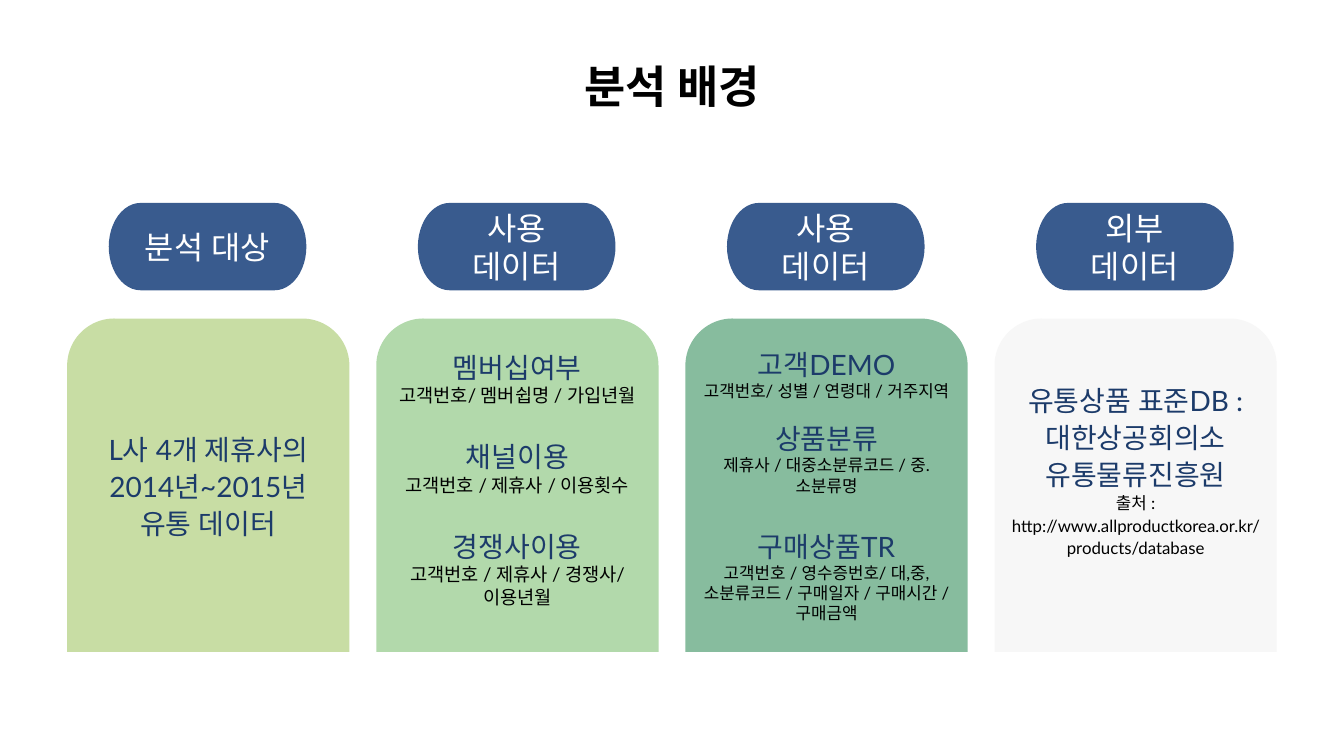
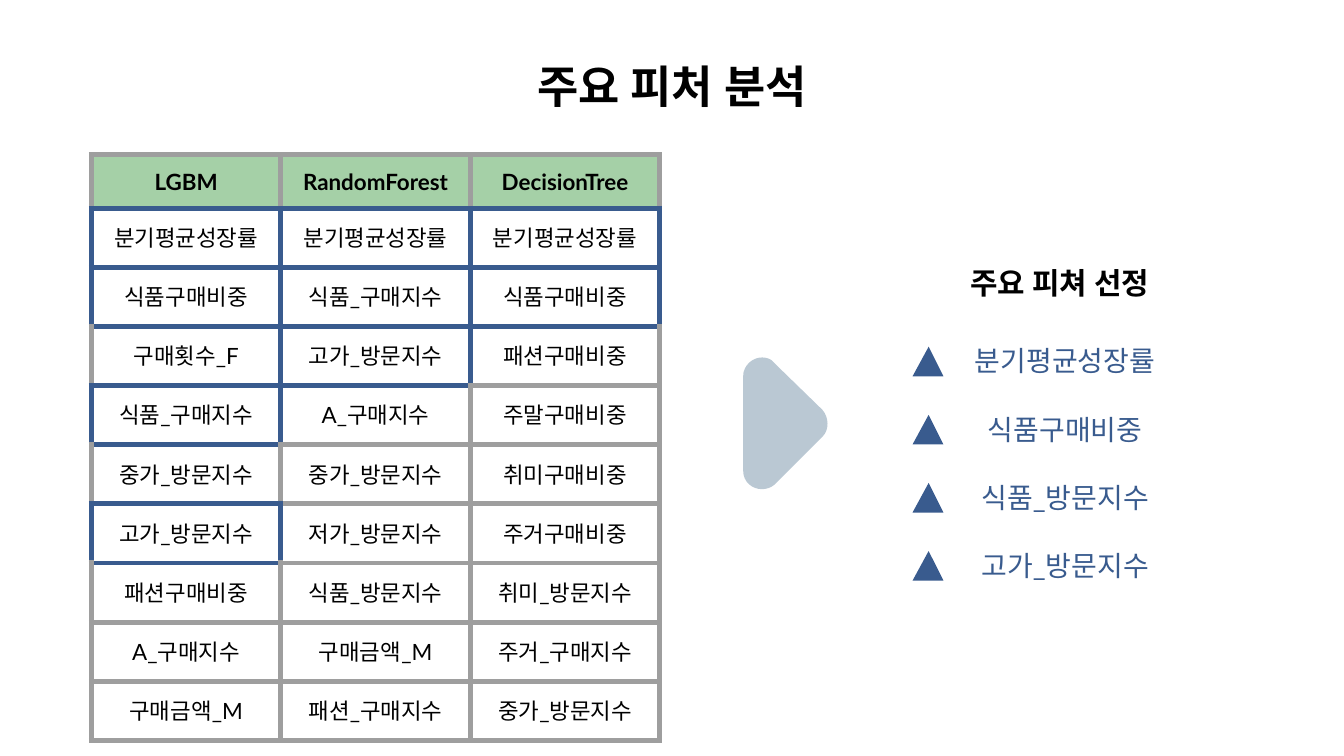
from lxml import etree
from pptx import Presentation
from pptx import util as u
from pptx.dml.color import RGBColor
from pptx.enum import shapes, text
from pptx.oxml.ns import qn

Inches, Pt = u.Inches, u.Pt
FONT = "Lato"
COLORS = {
    "black": "000000", "white": "FFFFFF", "blue": "395B8E", "navy": "1C3B6A",
    "lime": "C8DDA4", "mint": "B2D9AB", "teal": "87BC9E", "pale": "F7F7F7",
    "header": "A5D0A7", "grid": "9E9E9E", "arrow": "BAC8D3",
}

# Slide 1 content: text lines are (text, size, color, space before)
BACKGROUND_TITLE = "분석 배경"
CARDS = [
    {"label": "분석 대상", "color": "lime", "top": 3.37, "height": 0.47,
     "bottom": 0.1, "spacing": 1.1,
     "lines": [("L사 4개 제휴사의 2014년~2015년 유통 데이터", 15, "navy", 0)]},
    {"label": "사용 데이터", "color": "mint", "top": 2.45, "height": 2.48,
     "bottom": 0.35, "spacing": None,
     "lines": [("멤버십여부", 15, "navy", 0),
               ("고객번호/ 멤버쉽명 / 가입년월", 10, "black", 0),
               ("채널이용", 15, "navy", 18),
               ("고객번호 / 제휴사 / 이용횟수", 10, "black", 0),
               ("경쟁사이용", 15, "navy", 18),
               ("고객번호 / 제휴사 / 경쟁사/ 이용년월", 10, "black", 0)]},
    {"label": "사용 데이터", "color": "teal", "top": 2.37, "height": 2.48,
     "bottom": 0.1, "spacing": None,
     "lines": [("고객DEMO", 15, "navy", 0),
               ("고객번호/ 성별 / 연령대 / 거주지역", 9, "black", 0),
               ("상품분류", 15, "navy", 11),
               ("제휴사 / 대중소분류코드 / 중.소분류명", 9, "black", 0),
               ("구매상품TR", 15, "navy", 18),
               ("고객번호 / 영수증번호/ 대,중,소분류코드 / 구매일자 / 구매시간 / 구매금액",
                9, "black", 0)]},
    {"label": "외부 데이터", "color": "pale", "top": 2.45, "height": 2.48,
     "bottom": 0.5, "spacing": 1.1,
     "lines": [("유통상품 표준DB : 대한상공회의소 유통물류진흥원", 15, "navy", 0),
               ("출처 : http://www.allproductkorea.or.kr/products/database",
                9, "black", 0)]},
]

# Slide 2 content
FEATURE_TITLE = "주요 피처 분석"
FEATURE_ROWS = [
    ("LGBM", "RandomForest", "DecisionTree"),
    ("분기평균성장률", "분기평균성장률", "분기평균성장률"),
    ("식품구매비중", "식품_구매지수", "식품구매비중"),
    ("구매횟수_F", "고가_방문지수", "패션구매비중"),
    ("식품_구매지수", "A_구매지수", "주말구매비중"),
    ("중가_방문지수", "중가_방문지수", "취미구매비중"),
    ("고가_방문지수", "저가_방문지수", "주거구매비중"),
    ("패션구매비중", "식품_방문지수", "취미_방문지수"),
    ("A_구매지수", "구매금액_M", "주거_구매지수"),
    ("구매금액_M", "패션_구매지수", "중가_방문지수"),
]
HEADER_HEIGHT, ROW_HEIGHT = 0.4, 0.44
HIGHLIGHTED = {(1, 0), (1, 1), (1, 2), (2, 0), (2, 1), (2, 2), (3, 1), (4, 0), (6, 0)}
SELECTED_TITLE = "주요 피쳐 선정"
SELECTED = ["분기평균성장률", "식품구매비중", "식품_방문지수", "고가_방문지수"]

# Arrow outline: one point is a line, three points are a curve
ARROW_START = (5.67, 2.66)
ARROW_STEPS = [
    [(5.6, 2.66), (5.53, 2.72), (5.53, 2.8)],
    [(5.53, 3.5)],
    [(5.53, 3.59), (5.6, 3.64), (5.67, 3.64)],
    [(5.7, 3.64), (5.74, 3.63), (5.77, 3.6)],
    [(6.12, 3.25)],
    [(6.17, 3.2), (6.17, 3.11), (6.12, 3.05)],
    [(5.76, 2.7)],
    [(5.74, 2.67), (5.7, 2.66), (5.67, 2.66)],
]


def rgb(name):
    return RGBColor.from_string(COLORS[name])


def style_paragraph(paragraph, size, color, bold=False):
    paragraph.alignment = text.PP_ALIGN.CENTER
    for run in paragraph.runs:
        run.font.size = Pt(size)
        run.font.name = FONT
        run.font.bold = bold
        run.font.color.rgb = rgb(color)
        etree.SubElement(run.font._element, qn("a:ea"), typeface=FONT)


def write(shape, lines, bold=False, middle=True, bottom=0.1, spacing=None):
    frame = shape.text_frame
    frame.word_wrap = True
    frame.vertical_anchor = text.MSO_ANCHOR.MIDDLE if middle else text.MSO_ANCHOR.TOP
    frame.margin_left = frame.margin_right = frame.margin_top = Inches(0.1)
    frame.margin_bottom = Inches(bottom)
    frame.text = "\n".join(line[0] for line in lines)
    for paragraph, (_, size, color, before) in zip(frame.paragraphs, lines):
        style_paragraph(paragraph, size, color, bold)
        if before:
            paragraph.space_before = Pt(before)
        if spacing:
            paragraph.line_spacing = spacing


def add_text(slide, box, lines, **options):
    shape = slide.shapes.add_textbox(*map(Inches, box))
    write(shape, lines, **options)
    return shape


def paint(shape, color):
    shape.shadow.inherit = False
    shape.fill.solid()
    shape.fill.fore_color.rgb = rgb(color)
    shape.line.fill.background()
    return shape


def add_preset(slide, kind, box, color):
    return paint(slide.shapes.add_shape(kind, *map(Inches, box)), color)


def add_outline(slide, points, color):
    corners = [(Inches(x), Inches(y)) for x, y in points]
    builder = slide.shapes.build_freeform(*corners[0])
    builder.add_line_segments(corners[1:], close=True)
    return paint(builder.convert_to_shape(), color)


def trace(start, steps, parts=8):
    """Turn lines and cubic curves into a list of points."""
    points = [start]
    for step in steps:
        if len(step) == 1:
            points += step
            continue
        curve = [points[-1]] + step
        for part in range(1, parts + 1):
            t = part / parts
            weights = ((1 - t) ** 3, 3 * t * (1 - t) ** 2, 3 * t * t * (1 - t), t ** 3)
            points.append(tuple(sum(w * p[axis] for w, p in zip(weights, curve))
                                for axis in (0, 1)))
    return points


def add_titled_slide(presentation, title, margin):
    slide = presentation.slides.add_slide(presentation.slide_layouts[6])
    add_text(slide, (margin, 0.34, 10 - 2 * margin, 0.63),
             [(title, 24, "black", 0)], bold=True, middle=False)
    return slide


def set_border(cell, tag, color):
    line = etree.SubElement(cell._tc.get_or_add_tcPr(), qn(tag), w=str(Pt(3)))
    fill = etree.SubElement(line, qn("a:solidFill"))
    etree.SubElement(fill, qn("a:srgbClr"), val=COLORS[color])


def build_background(presentation):
    slide = add_titled_slide(presentation, BACKGROUND_TITLE, 0)
    lefts = [0.5 + 2.3 * index for index in range(len(CARDS))]
    for left, card in zip(lefts, CARDS):
        panel = add_preset(slide, shapes.MSO_SHAPE.ROUND_2_SAME_RECTANGLE,
                           (left, 2.37, 2.1, 2.48), card["color"])
        panel.adjustments[0] = 0.167
        label = add_preset(slide, shapes.MSO_SHAPE.FLOWCHART_TERMINATOR,
                           (left + 0.31, 1.51, 1.47, 0.65), "blue")
        write(label, [(card["label"], 17, "white", 0)])
        add_text(slide, (left, card["top"], 2.1, card["height"]), card["lines"],
                 bottom=card["bottom"], spacing=card["spacing"])


def add_feature_table(slide):
    rows, columns = len(FEATURE_ROWS), len(FEATURE_ROWS[0])
    table = slide.shapes.add_table(rows, columns, Inches(0.68), Inches(1.15),
                                   Inches(1.41 * columns), Inches(ROW_HEIGHT * rows)).table
    table.first_row = table.horz_banding = False
    table.rows[0].height = Inches(HEADER_HEIGHT)
    # An edge is blue when a cell on either side is highlighted
    sides = {"a:lnL": (0, -1), "a:lnR": (0, 1), "a:lnT": (-1, 0), "a:lnB": (1, 0)}
    for r, row in enumerate(FEATURE_ROWS):
        for c, name in enumerate(row):
            cell = table.cell(r, c)
            cell.margin_left = cell.margin_right = Inches(0.1)
            cell.margin_top = cell.margin_bottom = Inches(0.1)
            cell.vertical_anchor = text.MSO_ANCHOR.MIDDLE
            for tag, (down, across) in sides.items():
                marked = HIGHLIGHTED & {(r, c), (r + down, c + across)}
                set_border(cell, tag, "blue" if marked else "grid")
            if r == 0:
                cell.fill.solid()
                cell.fill.fore_color.rgb = rgb("header")
            else:
                cell.fill.background()
            cell.text_frame.text = name
            style_paragraph(cell.text_frame.paragraphs[0], 12, "black", r == 0)


def build_features(presentation):
    slide = add_titled_slide(presentation, FEATURE_TITLE, 0.2)
    add_feature_table(slide)

    # Selected features with triangle markers
    step = (3.98 - 2.46) / (len(SELECTED) - 1)
    for index, name in enumerate(SELECTED):
        top = 2.46 + step * index
        add_text(slide, (7.02, top, 1.81, 0.45), [(name, 15, "blue", 0)])
        peak = top + 0.12
        add_outline(slide, [(6.91, peak), (6.79, peak + 0.22), (7.02, peak + 0.22)], "blue")
    heading = add_text(slide, (7, 1.87, 1.77, 0.47), [(SELECTED_TITLE, 16, "black", 0)],
                       bold=True, middle=False)
    heading.text_frame.auto_size = text.MSO_AUTO_SIZE.SHAPE_TO_FIT_TEXT

    # Arrow from the table to the selection
    add_outline(slide, trace(ARROW_START, ARROW_STEPS), "arrow")


def main():
    presentation = Presentation()
    presentation.slide_width = Inches(10)
    presentation.slide_height = Inches(10) * 9 // 16
    build_background(presentation)
    build_features(presentation)
    presentation.save("out.pptx")


if __name__ == "__main__":
    main()
